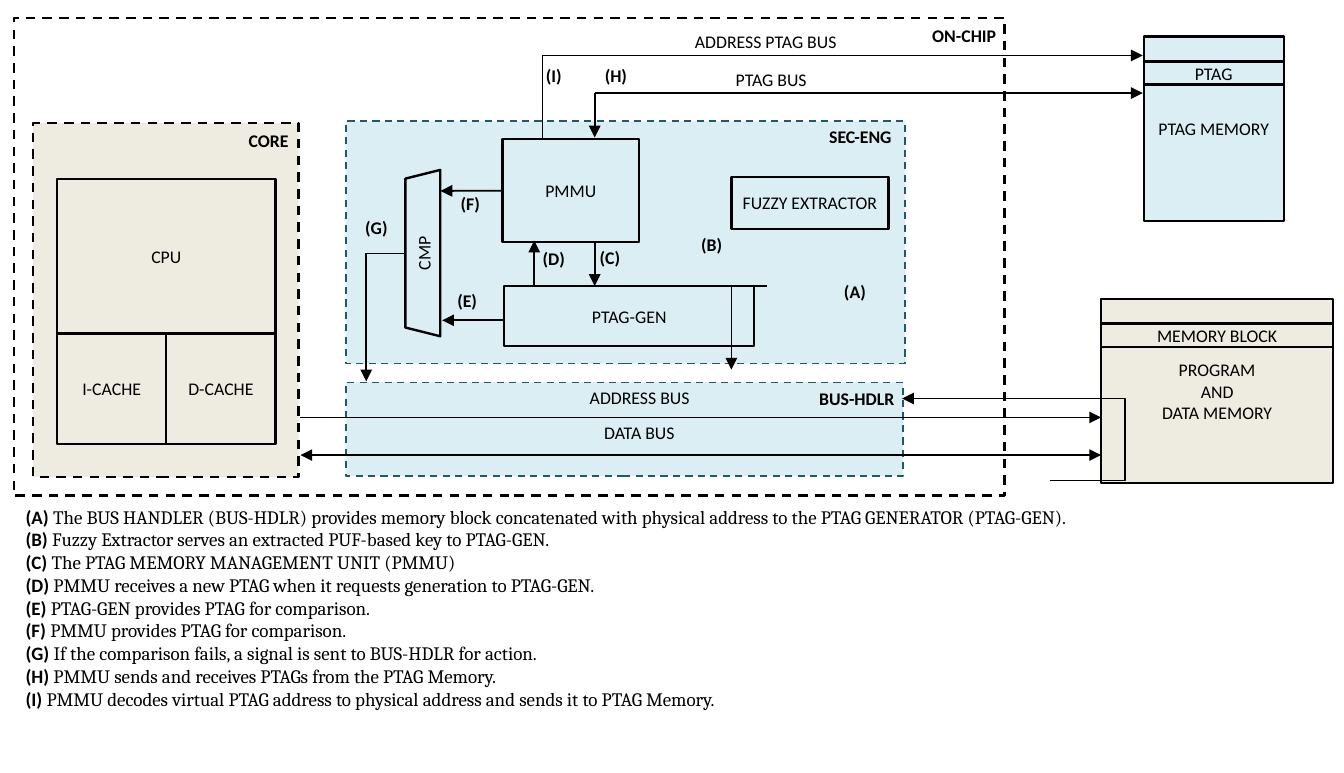
from lxml.etree import SubElement
from pptx import Presentation
from pptx.dml.color import RGBColor
from pptx.enum.dml import MSO_LINE
from pptx.enum.shapes import MSO_CONNECTOR, MSO_SHAPE
from pptx.enum.text import MSO_ANCHOR, MSO_AUTO_SIZE, PP_ALIGN
from pptx.oxml.ns import qn
from pptx.util import Cm, Pt

BLACK, TEAL, SAND, ICE = "000000", "215968", "EEECE1", "DBEEF4"
LEFT, CENTER, RIGHT = PP_ALIGN.LEFT, PP_ALIGN.CENTER, PP_ALIGN.RIGHT

# Lengths are centimetres: left, top, width, height
REGIONS = [
    ((0.99, 3.66, 7.9, 10.54), SAND, BLACK, 2),
    ((10.29, 11.38, 16.59, 2.79), ICE, TEAL, 1.5),
    ((10.29, 3.61, 16.64, 7.21), ICE, TEAL, 1.5),
    ((0.41, 0.53, 29.49, 14.22), None, BLACK, 2),
]
BLOCKS = [
    ("CPU", (1.7, 5.33, 6.5, 4.6), None),
    ("I-CACHE", (1.7, 9.93, 3.25, 3.28), None),
    ("D-CACHE", (4.95, 9.93, 3.25, 3.28), None),
    ("PROGRAM\nAND\nDATA MEMORY", (32.77, 8.89, 6.91, 5.49), SAND),
    ("PTAG MEMORY", (34.04, 1.09, 4.17, 5.49), ICE),
    ("MEMORY BLOCK", (32.77, 9.63, 6.91, 0.69), SAND),
    ("PTAG", (34.04, 1.83, 4.17, 0.69), ICE),
    ("PTAG-GEN", (15.01, 8.51, 7.44, 1.78), None),
    ("PMMU", (14.96, 4.14, 4.06, 3.07), None),
    ("FUZZY EXTRACTOR", (21.77, 5.26, 4.67, 1.55), None),
]
COMPARATOR = ("CMP", (10.11, 7.01, 4.95, 1.04), None)

# Start, end, arrowheads at (start, end)
COMPARE_ARROW = ((14.96, 5.68), (13.11, 5.68), (False, True))
LINES = [
    ((8.94, 13.54), (32.77, 13.54), (True, True)),
    ((8.92, 12.42), (32.77, 12.42), (False, True)),
    ((15.01, 9.53), (13.16, 9.53), (False, True)),
    ((15.9, 8.51), (15.9, 7.16), (False, True)),
    ((17.7, 7.24), (17.7, 8.51), (False, True)),
    ((12.04, 7.54), (10.9, 7.54), (False, False)),
    ((10.9, 7.54), (10.9, 11.35), (False, True)),
    ((17.7, 2.77), (17.7, 4.09), (False, True)),
    ((17.7, 2.77), (34.01, 2.77), (False, True)),
    ((16.15, 4.17), (16.15, 1.65), (False, False)),
    ((16.15, 1.65), (34.01, 1.65), (False, True)),
]
MEMORY_TO_HANDLER = ((31.24, 14.3), (26.85, 11.86), (False, True))
GENERATOR_TO_HANDLER = ((22.83, 8.51), (21.77, 11), (False, True))

# Text, left, top, width, alignment, bold, wrap
LABELS = [
    ("CORE", 7.14, 3.73, 1.7, RIGHT, True, False),
    ("PTAG BUS", 14.4, 1.93, 9.86, RIGHT, False, True),
    ("ADDRESS PTAG BUS", 15.29, 0.79, 9.86, RIGHT, False, True),
    ("ON-CHIP", 22.91, 0.61, 6.99, RIGHT, True, True),
    ("DATA BUS", 17.53, 12.42, 3, CENTER, False, False),
    ("ADDRESS BUS", 17.3, 11.38, 3.48, CENTER, False, False),
    ("SEC-ENG", 24.43, 3.63, 2.4, LEFT, True, False),
    ("BUS-HDLR", 24.13, 11.4, 2.85, LEFT, True, False),
]
STEP_MARK_WIDTH = 1.25
STEP_MARKS = [
    ("A", 24.87, 8.23), ("B", 20.62, 6.83), ("C", 17.6, 7.21),
    ("D", 15.9, 7.26), ("E", 13.36, 8.51), ("F", 13.46, 5.61),
    ("G", 10.62, 6.32), ("H", 17.75, 1.8), ("I", 16, 1.8),
]
LEGEND = [
    ("A", "The BUS HANDLER (BUS-HDLR) provides memory block concatenated with "
          "physical address to the PTAG GENERATOR (PTAG-GEN)."),
    ("B", "Fuzzy Extractor serves an extracted PUF-based key to PTAG-GEN."),
    ("C", "The PTAG MEMORY MANAGEMENT UNIT (PMMU)"),
    ("D", "PMMU receives a new PTAG when it requests generation to PTAG-GEN."),
    ("E", "PTAG-GEN provides PTAG for comparison."),
    ("F", "PMMU provides PTAG for comparison."),
    ("G", "If the comparison fails, a signal is sent to BUS-HDLR for action."),
    ("H", "PMMU sends and receives PTAGs from the PTAG Memory."),
    ("I", "PMMU decodes virtual PTAG address to physical address and sends it to PTAG Memory."),
]


def color(value):
    return RGBColor.from_string(value)


def format_span(span, size=15, bold=False, font="Calibri"):
    span.font.name = font
    span.font.size = Pt(size)
    span.font.bold = bold
    span.font.color.rgb = color(BLACK)


def fill_text(box, text, align, bold=False):
    box.text_frame.text = text
    for para in box.text_frame.paragraphs:
        para.alignment = align
        for span in para.runs:
            format_span(span, bold=bold)


def add_box(page, frame, fill, line=BLACK, width=2, kind=MSO_SHAPE.RECTANGLE):
    box = page.shapes.add_shape(kind, *map(Cm, frame))
    box.shadow.inherit = False
    if fill:
        box.fill.solid()
        box.fill.fore_color.rgb = color(fill)
    else:
        box.fill.background()
    box.line.color.rgb = color(line)
    box.line.width = Pt(width)
    return box


def add_block(page, text, frame, fill, kind=MSO_SHAPE.RECTANGLE):
    box = add_box(page, frame, fill, kind=kind)
    fill_text(box, text, CENTER)
    box.text_frame.vertical_anchor = MSO_ANCHOR.MIDDLE
    return box


def add_label(page, text, left, top, width, align=LEFT, bold=True, wrap=False):
    box = page.shapes.add_textbox(Cm(left), Cm(top), Cm(width), Cm(0.89))
    fill_text(box, text, align, bold)
    box.text_frame.word_wrap = wrap
    box.text_frame.auto_size = MSO_AUTO_SIZE.SHAPE_TO_FIT_TEXT


def add_line(page, start, end, heads, kind=MSO_CONNECTOR.STRAIGHT):
    line = page.shapes.add_connector(kind, *map(Cm, start + end))
    line.line.color.rgb = color(BLACK)
    line.line.width = Pt(1.5)
    outline = line.line._get_or_add_ln()
    for tag, shown in zip(("a:headEnd", "a:tailEnd"), heads):
        if shown:
            SubElement(outline, qn(tag), type="triangle", w="lg", len="lg")
    SubElement(line._element.spPr, qn("a:effectLst"))
    return line


def add_legend(page):
    box = page.shapes.add_textbox(Cm(0.51), Cm(14.91), Cm(38.3), Cm(6.32))
    frame = box.text_frame
    frame.word_wrap = True
    for index, (mark, meaning) in enumerate(LEGEND):
        para = frame.add_paragraph() if index else frame.paragraphs[0]
        para.text = f"({mark}) "
        format_span(para.runs[0], 16, True)
        span = para.add_run()
        span.text = meaning
        format_span(span, 16, font="Cambria")


def main():
    deck = Presentation()
    deck.slide_width, deck.slide_height = Cm(40), Cm(23)
    page = deck.slides.add_slide(deck.slide_layouts[6])

    for region in REGIONS:
        add_box(page, *region).line.dash_style = MSO_LINE.DASH
    blocks = {block[0]: add_block(page, *block) for block in BLOCKS}
    comparator = add_block(page, *COMPARATOR, kind=MSO_SHAPE.TRAPEZOID)
    comparator.rotation = 270

    for line in LINES:
        add_line(page, *line)
    add_line(page, *COMPARE_ARROW).begin_connect(blocks["PMMU"], 1)
    elbow = add_line(page, *MEMORY_TO_HANDLER, kind=MSO_CONNECTOR.ELBOW)
    bends = elbow._element.spPr.find(qn("a:prstGeom")).find(qn("a:avLst"))
    SubElement(bends, qn("a:gd"), name="adj1", fmla="val -51100")
    corner = add_line(page, *GENERATOR_TO_HANDLER, kind=MSO_CONNECTOR.ELBOW)
    corner._element.spPr.find(qn("a:prstGeom")).set("prst", "bentConnector2")

    for label in LABELS:
        add_label(page, *label)
    for mark, left, top in STEP_MARKS:
        add_label(page, f"({mark})", left, top, STEP_MARK_WIDTH)
    add_legend(page)
    deck.save("out.pptx")


if __name__ == "__main__":
    main()
